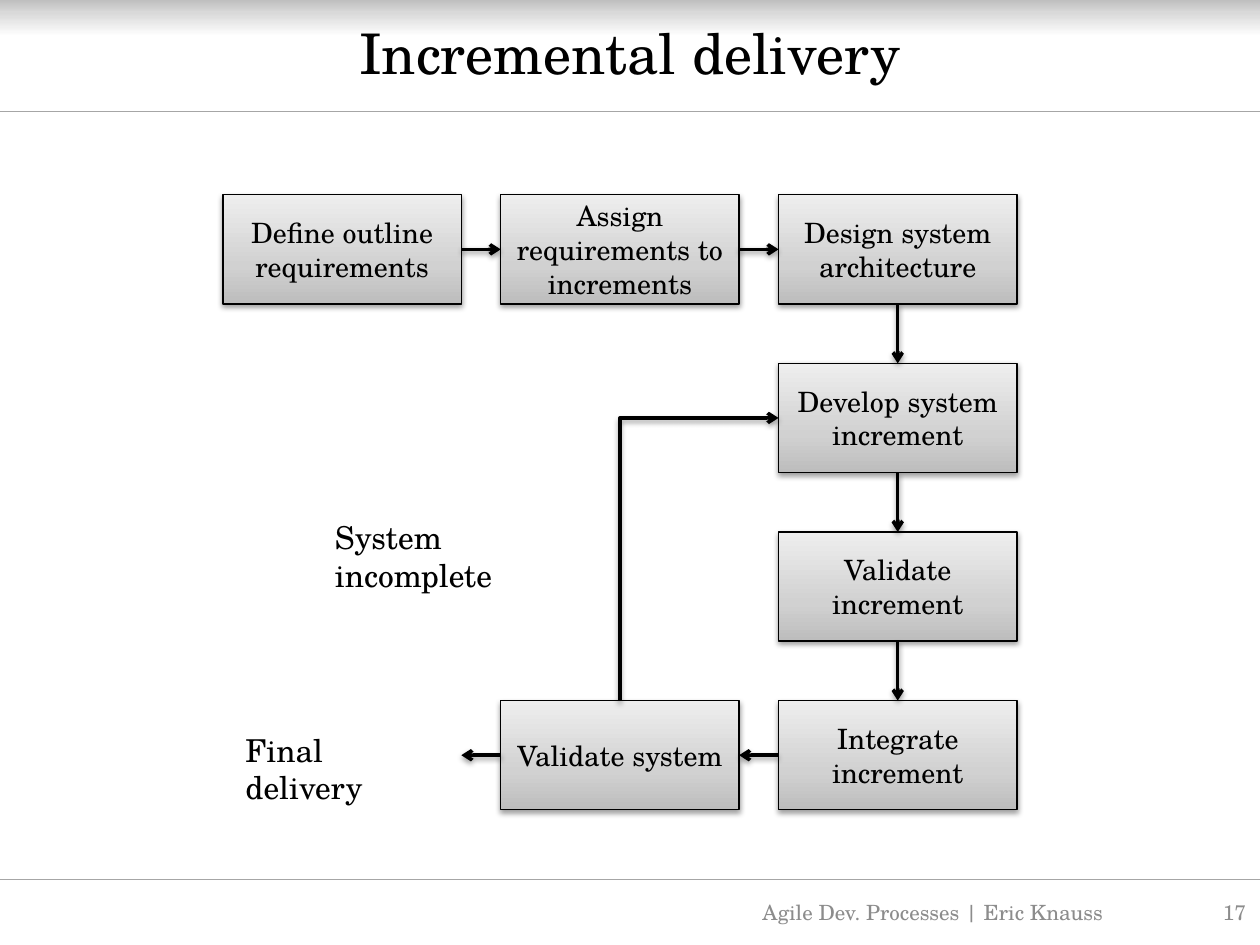
from dataclasses import dataclass
from itertools import pairwise
from typing import NamedTuple

from lxml import etree
from pptx import Presentation
from pptx import util as u
from pptx.dml.color import RGBColor
from pptx.enum import shapes, text
from pptx.oxml.ns import qn

Pt = u.Pt


@dataclass(frozen=True)
class Theme:
    font: str = "TeX Gyre Schola"
    ink: str = "000000"
    muted: str = "8C8C8C"
    rule: str = "A6A6A6"
    header_stops: tuple = ((0, "BFBFBF"), (34, "D9D9D9"), (100, "FFFFFF"))
    box_stops: tuple = ((0, "BDBDBD"), (35, "D1D1D1"), (100, "EEEEEE"))
    title_size: float = 32
    label_size: float = 18
    box_size: float = 16
    footer_size: float = 12
    box_line: float = 0.75
    arrow_line: float = 2


class Step(NamedTuple):
    name: str
    column: int
    row: int


class Label(NamedTuple):
    words: str
    left: float
    top: float
    width: float
    size: float
    color: str
    align: text.PP_ALIGN
    anchor: text.MSO_ANCHOR


THEME = Theme()
SLIDE_WIDTH, SLIDE_HEIGHT = 720, 540

# Flow grid
GRID_LEFT, GRID_TOP = 127.4, 111.3
COLUMN_STEP, ROW_STEP = 158.75, 96.35
BOX_WIDTH, BOX_HEIGHT = 136.2, 62.4
TOP, LEFT, BOTTOM, RIGHT = range(4)

STEPS = [
    Step("Define outline requirements", 0, 0),
    Step("Assign requirements to increments", 1, 0),
    Step("Design system architecture", 2, 0),
    Step("Develop system increment", 2, 1),
    Step("Validate increment", 2, 2),
    Step("Integrate increment", 2, 3),
    Step("Validate system", 1, 3),
]

ALIGN, ANCHOR = text.PP_ALIGN, text.MSO_ANCHOR
LABELS = [
    Label("Final delivery", 133.2, 414, 124.6, THEME.label_size, THEME.ink,
          ALIGN.LEFT, ANCHOR.TOP),
    Label("System incomplete", 184.3, 292.5, 166.3, THEME.label_size, THEME.ink,
          ALIGN.LEFT, ANCHOR.TOP),
    Label("Agile Dev. Processes | Eric Knauss", 419, 507, 228.2,
          THEME.footer_size, THEME.muted, ALIGN.CENTER, ANCHOR.MIDDLE),
    Label("17", 653, 507, 66.2, THEME.footer_size, THEME.muted,
          ALIGN.RIGHT, ANCHOR.MIDDLE),
]


def write(shape, words: str, size: float, color: str, align, anchor) -> None:
    frame = shape.text_frame
    frame.word_wrap = True
    frame.auto_size = text.MSO_AUTO_SIZE.NONE
    frame.vertical_anchor = anchor
    paragraph = frame.paragraphs[0]
    paragraph.text = words
    paragraph.alignment = align
    paragraph.font.name = THEME.font
    paragraph.font.size = Pt(size)
    paragraph.font.color.rgb = RGBColor.from_string(color)


def set_gradient(shape, stops: tuple, angle: float) -> None:
    shape.fill.gradient()
    shape.fill.gradient_angle = angle
    stop_list = shape.element.spPr.find(".//" + qn("a:gsLst"))
    for stop in list(stop_list):
        stop_list.remove(stop)
    for position, color in stops:
        stop = etree.SubElement(stop_list, qn("a:gs"), pos=str(position * 1000))
        etree.SubElement(stop, qn("a:srgbClr"), val=color)


def set_effects(shape, shadow: bool) -> None:
    """Call after the line is set, so that the effects follow it."""
    effects = etree.SubElement(shape.element.spPr, qn("a:effectLst"))
    if shadow:
        outer = etree.SubElement(effects, qn("a:outerShdw"), blurRad="40000",
                                 dist="20000", dir="5400000", rotWithShape="0")
        color = etree.SubElement(outer, qn("a:srgbClr"), val=THEME.ink)
        etree.SubElement(color, qn("a:alpha"), val="38000")


def add_line(slide, start: tuple, end: tuple, color: str, width: float,
             arrow: bool = False):
    line = slide.shapes.add_connector(
        shapes.MSO_CONNECTOR.STRAIGHT, *map(Pt, start + end))
    line.line.color.rgb = RGBColor.from_string(color)
    line.line.width = Pt(width)
    if arrow:
        etree.SubElement(line.line._get_or_add_ln(), qn("a:tailEnd"), type="arrow")
    set_effects(line, shadow=arrow)
    return line


def add_arrow(slide, start: tuple, end: tuple):
    return add_line(slide, start, end, THEME.ink, THEME.arrow_line, arrow=True)


def box_origin(step: Step) -> tuple:
    return GRID_LEFT + step.column * COLUMN_STEP, GRID_TOP + step.row * ROW_STEP


def side_point(step: Step, side: int) -> tuple:
    left, top = box_origin(step)
    across, down = {TOP: (0.5, 0), LEFT: (0, 0.5),
                    BOTTOM: (0.5, 1), RIGHT: (1, 0.5)}[side]
    return left + across * BOX_WIDTH, top + down * BOX_HEIGHT


def add_step(slide, step: Step):
    left, top = box_origin(step)
    box = slide.shapes.add_shape(shapes.MSO_SHAPE.RECTANGLE, Pt(left), Pt(top),
                                 Pt(BOX_WIDTH), Pt(BOX_HEIGHT))
    set_gradient(box, THEME.box_stops, 90)
    box.line.color.rgb = RGBColor.from_string(THEME.ink)
    box.line.width = Pt(THEME.box_line)
    set_effects(box, shadow=True)
    write(box, step.name, THEME.box_size, THEME.ink, ALIGN.CENTER, ANCHOR.MIDDLE)
    return box


def facing_sides(first: Step, second: Step) -> tuple:
    if first.row != second.row:
        return BOTTOM, TOP
    return (RIGHT, LEFT) if first.column < second.column else (LEFT, RIGHT)


def add_loop(slide, start: tuple, end: tuple) -> None:
    """One-bend arrow that leaves upwards and arrives from the left."""
    loop = add_arrow(slide, start, end)
    across, rise = end[0] - start[0], start[1] - end[1]
    loop.left = Pt((start[0] + end[0] - rise) / 2)
    loop.top = Pt((start[1] + end[1] - across) / 2)
    loop.width, loop.height = Pt(rise), Pt(across)
    properties = loop.element.spPr
    properties.find(qn("a:prstGeom")).set("prst", "bentConnector2")
    for name, value in (("rot", "5400000"), ("flipH", "1"), ("flipV", "1")):
        properties.find(qn("a:xfrm")).set(name, value)


def main() -> None:
    presentation = Presentation()
    presentation.slide_width, presentation.slide_height = Pt(SLIDE_WIDTH), Pt(SLIDE_HEIGHT)
    slide = presentation.slides.add_slide(presentation.slide_layouts[5])

    # Header band and rules
    band = slide.shapes.add_shape(shapes.MSO_SHAPE.RECTANGLE, 0, 0,
                                  Pt(SLIDE_WIDTH), Pt(20.9))
    set_gradient(band, THEME.header_stops, 270)
    band.line.fill.background()
    band.shadow.inherit = False
    for y in (502.6, 63.8):
        add_line(slide, (0, y), (SLIDE_WIDTH, y), THEME.rule, 0.75)

    # Title, in front of the band
    title = slide.shapes.title
    title.left, title.top, title.width, title.height = map(Pt, (36, 2.2, 648, 55.4))
    write(title, "Incremental delivery", THEME.title_size, THEME.ink,
          ALIGN.CENTER, ANCHOR.MIDDLE)
    title.element.getparent().append(title.element)

    # Steps and the arrows between them
    boxes = [add_step(slide, step) for step in STEPS]
    for (first, box), (second, next_box) in pairwise(zip(STEPS, boxes)):
        leave, arrive = facing_sides(first, second)
        arrow = add_arrow(slide, side_point(first, leave), side_point(second, arrive))
        arrow.begin_connect(box, leave)
        arrow.end_connect(next_box, arrive)

    # Loop back and exit
    develop, last = STEPS[3], STEPS[-1]
    add_loop(slide, side_point(last, TOP), side_point(develop, LEFT))
    x, y = side_point(last, LEFT)
    final_arrow = add_arrow(slide, (x, y), (x - COLUMN_STEP + BOX_WIDTH, y))
    final_arrow.begin_connect(boxes[-1], LEFT)

    # Flow labels and footer
    for label in LABELS:
        box = slide.shapes.add_textbox(Pt(label.left), Pt(label.top),
                                       Pt(label.width), Pt(28.8))
        write(box, label.words, label.size, label.color, label.align, label.anchor)

    presentation.save("out.pptx")


if __name__ == "__main__":
    main()
